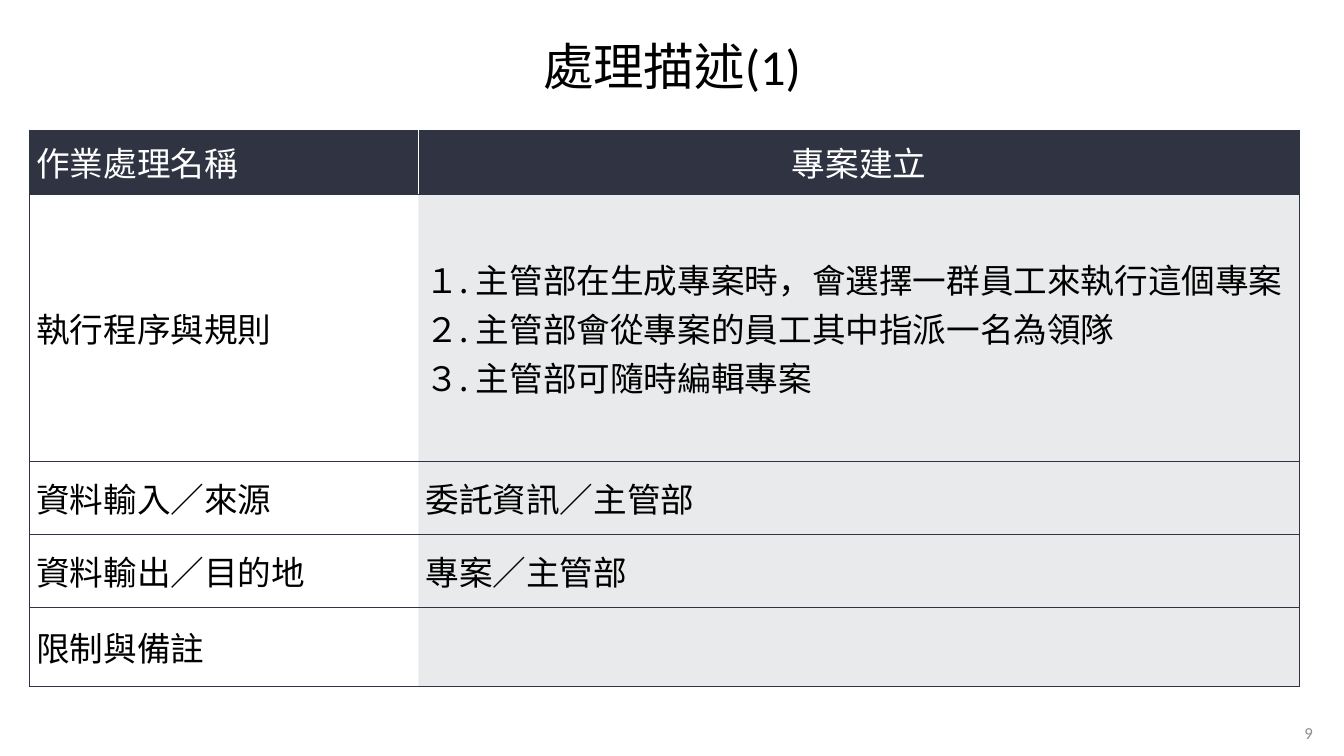
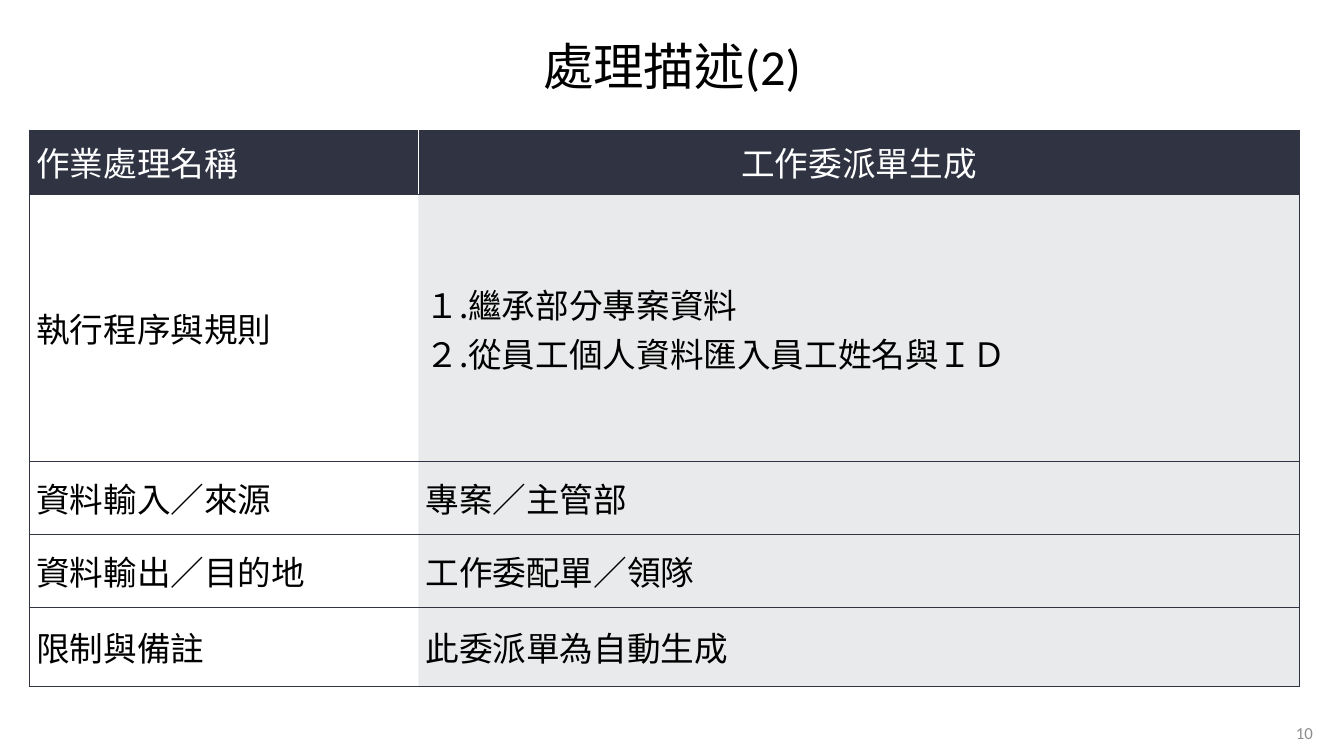
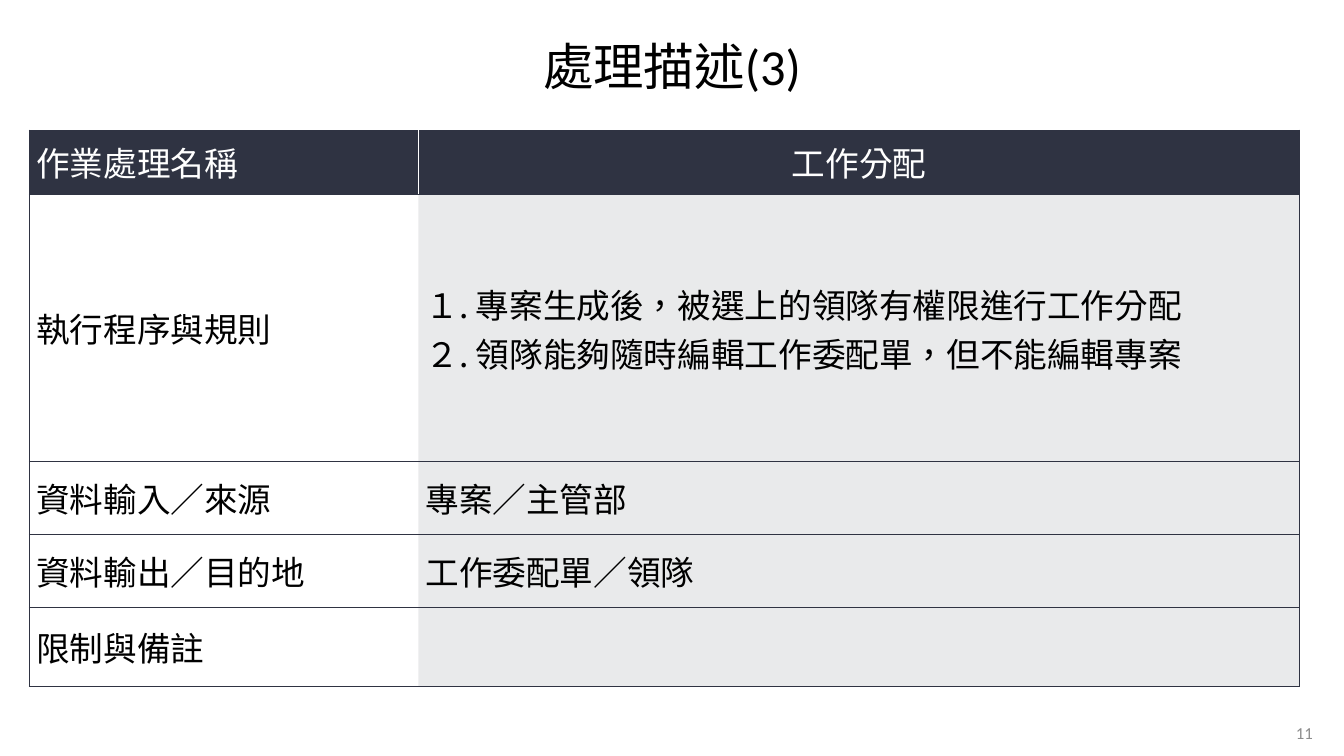
from lxml.etree import SubElement
from pptx import Presentation
from pptx.dml.color import RGBColor
from pptx.enum.lang import MSO_LANGUAGE_ID
from pptx.enum.text import MSO_ANCHOR, PP_ALIGN
from pptx.oxml.ns import qn
from pptx.util import Inches, Pt

COLORS = {"navy": "2F3342", "white": "FFFFFF", "black": "000000", "gray": "8C8C8C"}
LATIN, CJK = "Calibri", "Noto Sans CJK SC"
TW, CN = MSO_LANGUAGE_ID.TRADITIONAL_CHINESE, MSO_LANGUAGE_ID.SIMPLIFIED_CHINESE
PLAIN_TABLE = "{2D5ABB26-0587-4C30-8999-92F81FD0307C}"

TITLE_BOX = (0.65, 0, 12.03, 1.3)
TABLE_BOX = (0.29, 1.29, 12.6, 5.51)
NUMBER_BOX = (12.63, 7.07, 0.49, 0.4)
COLS = (3.86, 8.74)
ROWS = (0.64, 2.65, 0.72, 0.72, 0.78)
FIRST_NUMBER = 9

LABELS = ("作業處理名稱", "執行程序與規則", "資料輸入／來源", "資料輸出／目的地", "限制與備註")
# Language of the rules, then the values beside LABELS
PROCESSES = (
    (CN, ("專案建立",
          "１. 主管部在生成專案時，會選擇一群員工來執行這個專案\n"
          "２. 主管部會從專案的員工其中指派一名為領隊\n"
          "３. 主管部可隨時編輯專案",
          "委託資訊／主管部", "專案／主管部", "")),
    (TW, ("工作委派單生成",
          "１.繼承部分專案資料\n２.從員工個人資料匯入員工姓名與ＩＤ",
          "專案／主管部", "工作委配單／領隊", "此委派單為自動生成")),
    (TW, ("工作分配",
          "１. 專案生成後，被選上的領隊有權限進行工作分配\n"
          "２. 領隊能夠隨時編輯工作委配單，但不能編輯專案",
          "專案／主管部", "工作委配單／領隊", "")),
)


def inches(box):
    return [Inches(v) for v in box]


def write(tf, text, size, color, font=LATIN, align=PP_ALIGN.LEFT, lang=TW):
    tf.word_wrap = True
    tf.text = text
    look = {"size": Pt(size), "name": font, "bold": False, "language_id": lang}
    for p in tf.paragraphs:
        p.alignment = align
        for r in p.runs:
            for name, value in look.items():
                setattr(r.font, name, value)
            r.font.color.rgb = RGBColor.from_string(COLORS[color])
            SubElement(r._r.get_or_add_rPr(), qn("a:ea"), typeface=CJK)


def add_borders(cell, borders):
    """Draw (color, points) lines by side; sides must come in L, R, T, B order."""
    tc_pr = cell._tc.get_or_add_tcPr()
    for side, (color, width) in borders.items():
        ln = SubElement(tc_pr, qn(f"a:ln{side}"), w=str(Pt(width)))
        fill = SubElement(ln, qn("a:solidFill"))
        SubElement(fill, qn("a:srgbClr"), val=COLORS[color])


def fill_navy(cell, alpha=100):
    cell.fill.solid()
    cell.fill.fore_color.rgb = RGBColor.from_string(COLORS["navy"])
    if alpha < 100:
        color = cell._tc.tcPr.find(qn("a:solidFill")).find(qn("a:srgbClr"))
        SubElement(color, qn("a:alpha"), val=str(alpha * 1000))


def format_cell(cell, is_header, is_value):
    pad = 0.04 if is_header else 0.12
    margins = {"margin_left": 0.07, "margin_right": 0.07,
               "margin_top": pad, "margin_bottom": pad}
    for name, value in margins.items():
        setattr(cell, name, Inches(value))
    cell.vertical_anchor = MSO_ANCHOR.MIDDLE

    thin, divider = ("navy", 0.5), ("white", 1)
    outer, inner = ("R", "L") if is_value else ("L", "R")
    borders = {outer: thin, "T": thin}
    if is_header:
        borders[inner] = divider
    else:
        borders["B"] = thin
    add_borders(cell, {side: borders[side] for side in "LRTB" if side in borders})
    if is_header or is_value:
        fill_navy(cell, 100 if is_header else 10)
    else:
        cell.fill.background()


def add_title(s, box, text):
    title = s.shapes.title
    title.left, title.top, title.width, title.height = inches(box)
    title.text_frame.vertical_anchor = MSO_ANCHOR.MIDDLE
    write(title.text_frame, text, 36, "black", align=PP_ALIGN.CENTER)


def add_process_table(s, box, values, lang):
    table = s.shapes.add_table(len(ROWS), len(COLS), *inches(box)).table
    table._tbl.tblPr.find(qn("a:tableStyleId")).text = PLAIN_TABLE
    table.horz_banding = False
    for column, width in zip(table.columns, COLS):
        column.width = Inches(width)
    for i, (row, height, pair) in enumerate(zip(table.rows, ROWS, zip(LABELS, values))):
        row.height = Inches(height)
        is_header = i == 0
        for j, text in enumerate(pair):
            cell, is_value = table.cell(i, j), j == 1
            format_cell(cell, is_header, is_value)
            write(cell.text_frame, text, 24, "white" if is_header else "black",
                  font=CJK if is_value else LATIN,
                  align=PP_ALIGN.CENTER if is_header and is_value else PP_ALIGN.LEFT,
                  lang=lang if is_value else TW)


def add_page_number(s, box, number):
    tf = s.shapes.add_textbox(*inches(box)).text_frame
    tf.vertical_anchor = MSO_ANCHOR.MIDDLE
    write(tf, str(number), 12, "gray", align=PP_ALIGN.RIGHT)


def add_process_slide(prs, index, lang, values):
    s = prs.slides.add_slide(prs.slide_layouts[5])
    add_title(s, TITLE_BOX, f"處理描述({index + 1})")
    add_process_table(s, TABLE_BOX, values, lang)
    add_page_number(s, NUMBER_BOX, FIRST_NUMBER + index)


def main():
    prs = Presentation()
    prs.slide_width, prs.slide_height = Inches(13.33), Inches(7.5)
    for index, (lang, values) in enumerate(PROCESSES):
        add_process_slide(prs, index, lang, values)
    prs.save("out.pptx")


if __name__ == "__main__":
    main()
